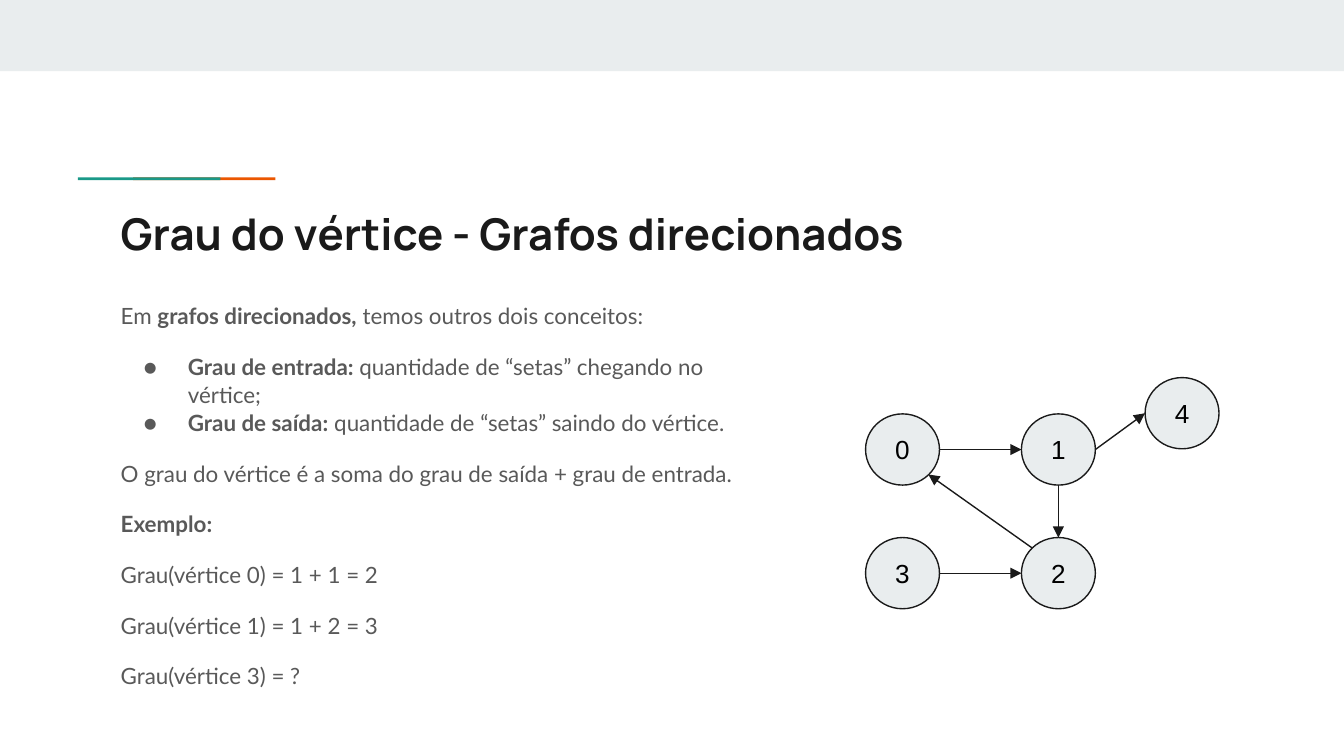
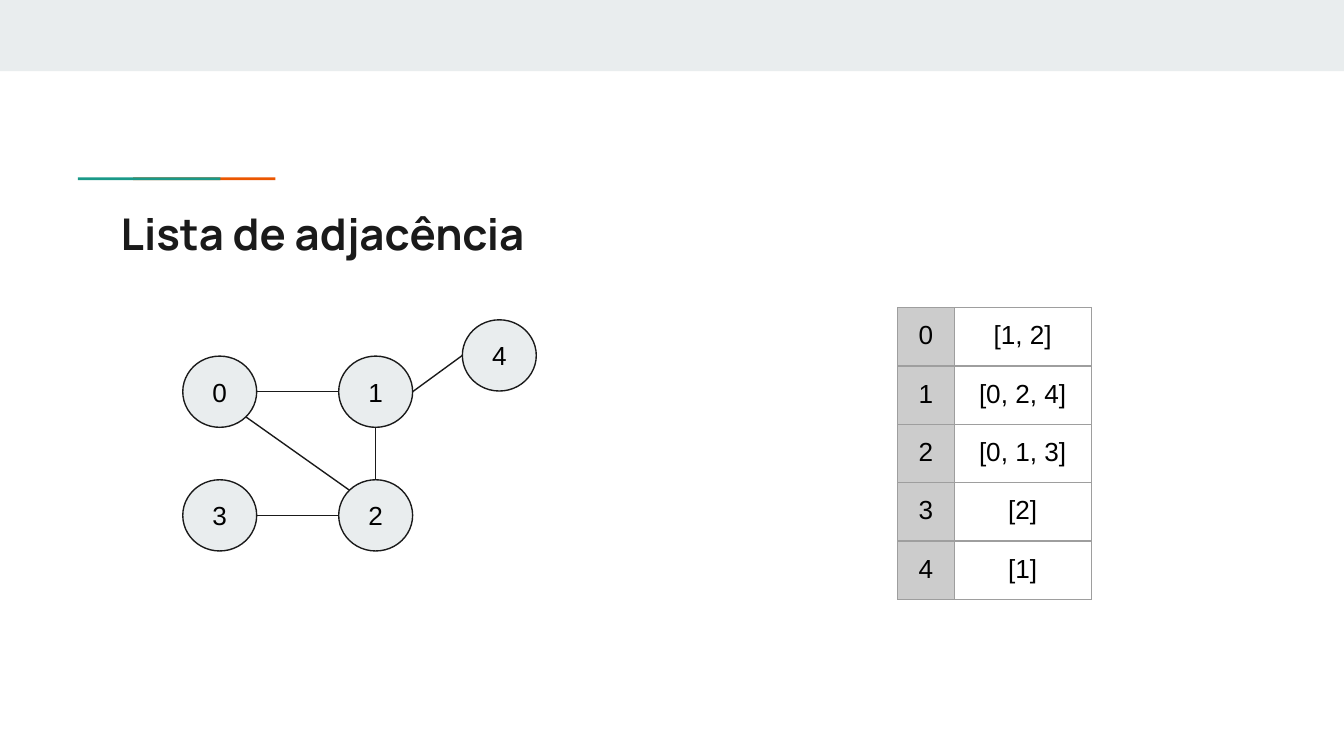
from lxml.etree import SubElement
from pptx import Presentation
from pptx.dml.color import RGBColor
from pptx.enum.shapes import MSO_CONNECTOR as Connector, MSO_SHAPE as Shape
from pptx.enum.text import MSO_ANCHOR as Anchor, PP_ALIGN as Align
from pptx.oxml.ns import qn
from pptx.util import Inches, Pt

COLORS = {
    "band": "E9EDEE",
    "orange": "EB5600",
    "teal": "1A9988",
    "ink": "1A1A1A",
    "body": "595959",
    "black": "000000",
    "header": "CCCCCC",
    "border": "9E9E9E",
}

# Graph geometry: node positions relative to node 0, and points on a node
NODE_WIDTH, NODE_HEIGHT = 0.55, 0.53
NODES = {0: (0, 0), 2: (1.16, 0.92), 1: (1.16, 0), 3: (0, 0.92), 4: (2.08, -0.27)}
SITES = {
    "left": (0, 0.5),
    "right": (1, 0.5),
    "top": (0.5, 0),
    "bottom": (0.5, 1),
    "top left": (0.15, 0.15),
    "bottom right": (0.85, 0.85),
}
EDGES = [
    (0, "right", 1, "left"),
    (1, "bottom", 2, "top"),
    (2, "top left", 0, "bottom right"),
    (3, "right", 2, "left"),
    (1, "right", 4, "left"),
]


def color(name):
    return RGBColor.from_string(COLORS[name])


class Slides:
    def __init__(self):
        self.deck = Presentation()
        self.deck.slide_width = Inches(10)
        self.deck.slide_height = Inches(10 * 9 / 16)
        self.page = None

    def new_page(self, title):
        self.page = self.deck.slides.add_slide(self.deck.slide_layouts[6])
        self.shape(Shape.RECTANGLE, 0, 0, 10, 0.53, "band")
        self.shape(Shape.RECTANGLE, 0.99, 1.32, 1.06, 0.02, "orange")
        self.shape(Shape.RECTANGLE, 0.58, 1.32, 1.06, 0.02, "teal")
        para = self.text_box(0.8, 1.44, 8.41, 0.59).paragraphs[0]
        para.text = title
        self.style(para, "Manrope", 23.4, "ink", bold=True)

    def style(self, para, name, size, fill, bold=None):
        font = para.font
        font.name, font.size, font.bold = name, Pt(size), bold
        font.color.rgb = color(fill)

    def insets(self, holder):
        holder.margin_left = holder.margin_right = Inches(0.1)
        holder.margin_top = holder.margin_bottom = Inches(0.1)

    def text_box(self, left, top, width, height):
        box = self.page.shapes.add_textbox(
            Inches(left), Inches(top), Inches(width), Inches(height))
        frame = box.text_frame
        frame.word_wrap = True
        self.insets(frame)
        return frame

    def shape(self, kind, left, top, width, height, fill):
        shape = self.page.shapes.add_shape(
            kind, Inches(left), Inches(top), Inches(width), Inches(height))
        shape.shadow.inherit = False
        shape.fill.solid()
        shape.fill.fore_color.rgb = color(fill)
        shape.line.fill.background()
        return shape

    def label(self, para, text):
        para.text = text
        para.alignment = Align.CENTER
        self.style(para, "Arial", 14, "black")

    def bullet(self, para):
        props = para._p.get_or_add_pPr()
        props.set("marL", str(Inches(0.5)))
        props.set("indent", str(Inches(-0.33)))
        tint = SubElement(props, qn("a:buClr"))
        SubElement(tint, qn("a:srgbClr"), val=COLORS["body"])
        SubElement(props, qn("a:buSzPts"), val="1200")
        SubElement(props, qn("a:buFont"), typeface="Lato")
        SubElement(props, qn("a:buChar"), char="●")

    def body(self, left, top, width, height, items):
        """Each item is (spans, space before, bulleted); a span is (text, bold)."""
        frame = self.text_box(left, top, width, height)
        for index, (spans, before, bulleted) in enumerate(items):
            para = frame.add_paragraph() if index else frame.paragraphs[0]
            if bulleted:
                self.bullet(para)
            para.line_spacing = 1.05
            para.space_before = Pt(before)
            self.style(para, "Lato", 12, "body")
            for text, bold in spans:
                span = para.add_run()
                span.text = text
                span.font.bold = bold

    def node(self, left, top, text):
        circle = self.shape(Shape.OVAL, left, top, NODE_WIDTH, NODE_HEIGHT, "band")
        circle.line.color.rgb = color("ink")
        circle.line.width = Pt(0.75)
        frame = circle.text_frame
        frame.vertical_anchor = Anchor.MIDDLE
        self.insets(frame)
        self.label(frame.paragraphs[0], text)

    def edge(self, start, end, directed):
        line = self.page.shapes.add_connector(
            Connector.STRAIGHT, *(Inches(value) for value in (*start, *end)))
        line.line.color.rgb = color("ink")
        line.line.width = Pt(0.75)
        if directed:
            outline = line._element.spPr.find(qn("a:ln"))
            SubElement(outline, qn("a:tailEnd"), type="triangle")
        SubElement(line._element.spPr, qn("a:effectLst"))

    def graph(self, left, top, directed):
        def point(number, site):
            (x, y), (across, down) = NODES[number], SITES[site]
            return left + x + across * NODE_WIDTH, top + y + down * NODE_HEIGHT

        for number, (x, y) in NODES.items():
            self.node(left + x, top + y, str(number))
        for source, leaving, target, arriving in EDGES:
            self.edge(point(source, leaving), point(target, arriving), directed)

    def cell(self, cell, text, fill):
        self.insets(cell)
        self.label(cell.text_frame.paragraphs[0], text)
        props = cell._tc.get_or_add_tcPr()
        for side in ("lnL", "lnR", "lnT", "lnB"):
            border = SubElement(props, qn(f"a:{side}"), w=str(Pt(0.75)))
            paint = SubElement(border, qn("a:solidFill"))
            SubElement(paint, qn("a:srgbClr"), val=COLORS["border"])
        if fill:
            cell.fill.solid()
            cell.fill.fore_color.rgb = color(fill)
        else:
            cell.fill.background()

    def table(self, left, top, widths, row_height, rows):
        table = self.page.shapes.add_table(
            len(rows), len(widths), Inches(left), Inches(top),
            Inches(sum(widths)), Inches(row_height * len(rows))).table
        table.first_row = table.horz_banding = False
        for column, width in zip(table.columns, widths):
            column.width = Inches(width)
        for r, values in enumerate(rows):
            for c, value in enumerate(values):
                self.cell(table.cell(r, c), value, None if c else "header")


def main():
    slides = Slides()

    # Vertex degree in directed graphs
    slides.new_page("Grau do vértice - Grafos direcionados")
    slides.body(0.8, 2.14, 4.86, 3.11, [
        ([("Em ", False), ("grafos direcionados,", True),
          (" temos outros dois conceitos:", False)], 0, False),
        ([("Grau de entrada: ", True),
          ("quantidade de “setas” chegando no vértice;", False)], 12, True),
        ([("Grau de saída:", True),
          (" quantidade de “setas” saindo do vértice.", False)], 0, True),
        ([("O grau do vértice é a soma do grau de saída + grau de entrada.",
           False)], 12, False),
        ([("Exemplo:", True)], 12, False),
        ([("Grau(vértice 0) = 1 + 1 = 2", False)], 12, False),
        ([("Grau(vértice 1) = 1 + 2 = 3", False)], 12, False),
        ([("Grau(vértice 3) = ?", False)], 12, False),
    ])
    slides.graph(6.44, 3.08, directed=True)

    # Adjacency list
    slides.new_page("Lista de adjacência")
    slides.graph(1.36, 2.65, directed=False)
    neighbours = [[1, 2], [0, 2, 4], [0, 1, 3], [2], [1]]
    slides.table(6.68, 2.29, [0.42, 1.02], 0.43,
                 [(str(number), str(near)) for number, near in enumerate(neighbours)])

    slides.deck.save("out.pptx")


if __name__ == "__main__":
    main()
